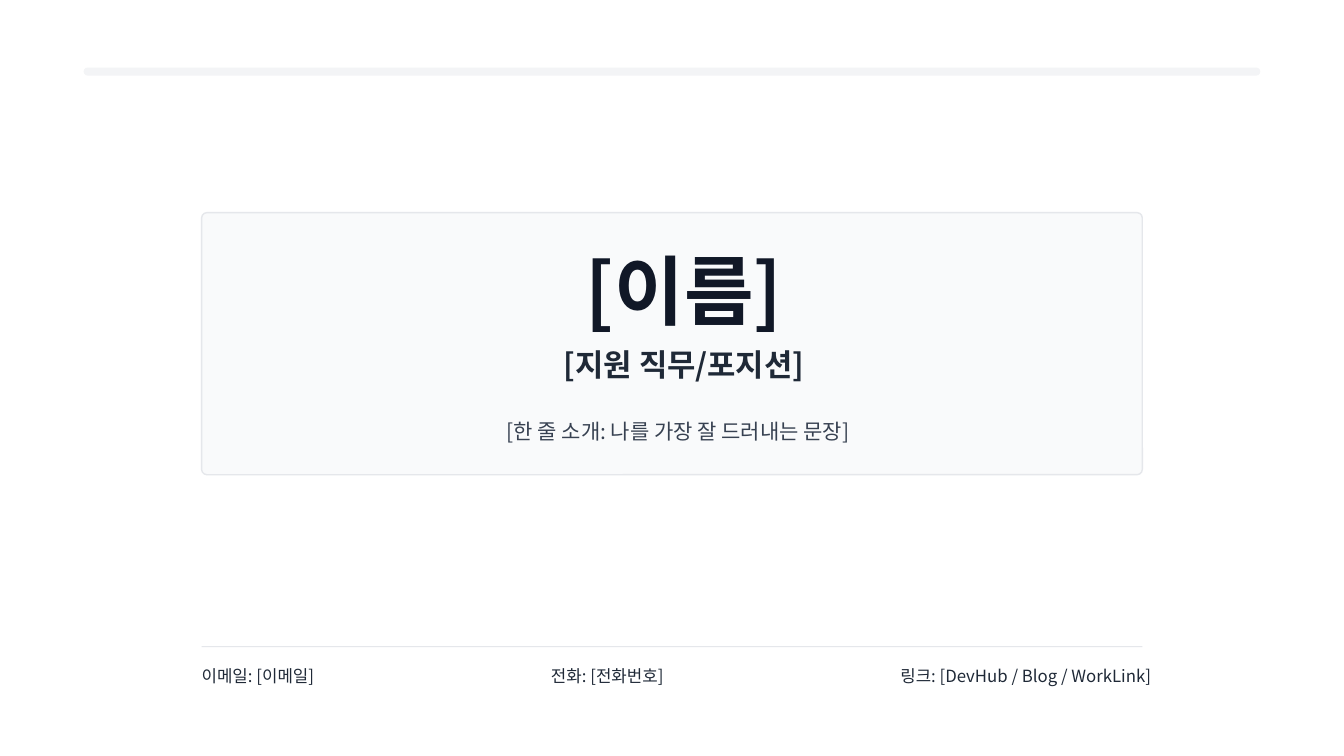
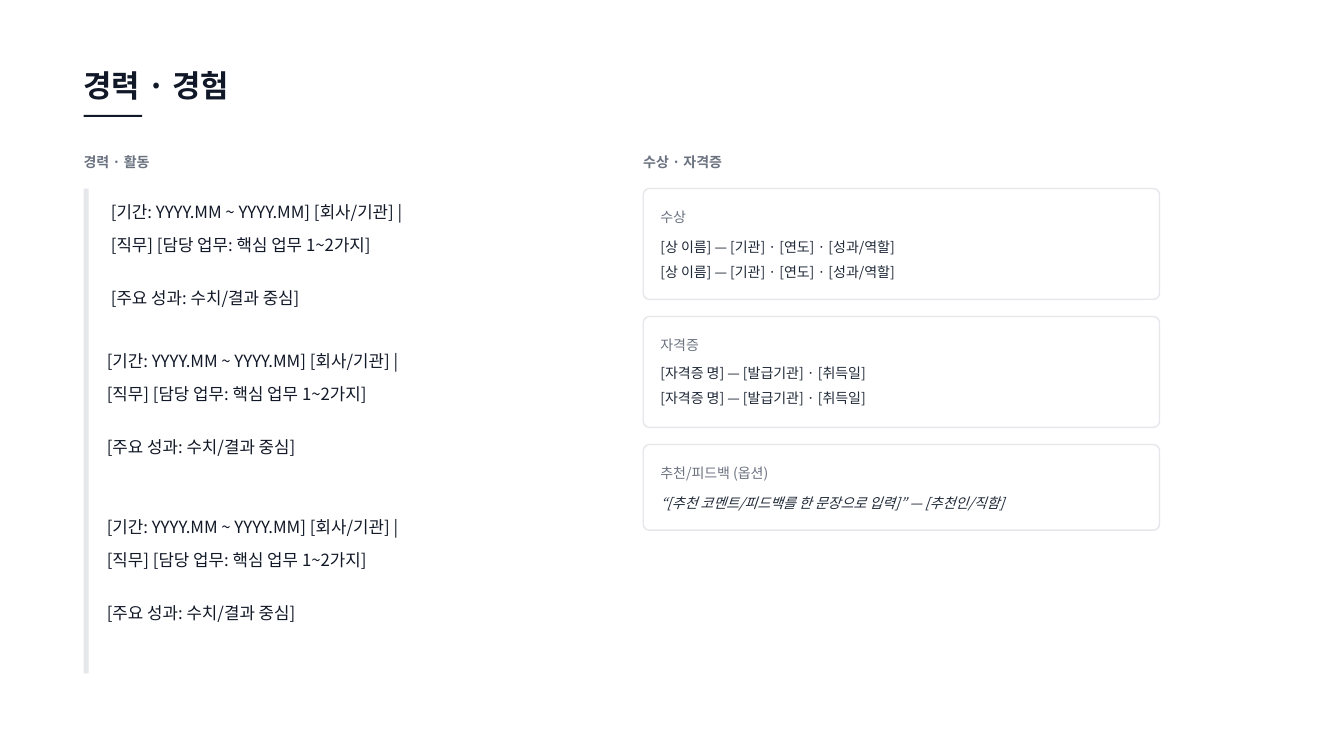
"""Build a résumé cover and a career slide."""
from lxml.etree import SubElement
from pptx import Presentation
from pptx.dml.color import RGBColor as RGB
from pptx.enum.shapes import MSO_SHAPE as Shape
from pptx.enum.text import MSO_ANCHOR as Anchor, PP_ALIGN as Align
from pptx.oxml.ns import qn
from pptx.util import Inches, Pt

FONT = "Noto Sans CJK KR"
HEX = {
    "ink": "111827", "dark": "1F2937", "body": "374151", "mute": "6B7280",
    "rule": "E5E7EB", "band": "F3F4F6", "panel": "F9FAFB", "white": "FFFFFF",
}
STYLE = {
    "name": {"size": 54, "color": "ink", "bold": True, "align": Align.CENTER},
    "role": {"size": 22, "color": "dark", "bold": True, "align": Align.CENTER},
    "intro": {"size": 15, "color": "body", "align": Align.CENTER},
    "contact": {"size": 12, "color": "dark"},
    "title": {"size": 22, "color": "ink", "bold": True},
    "head": {"size": 10, "color": "mute", "bold": True},
    "job": {"size": 12, "color": "ink"},
    "label": {"size": 10, "color": "mute"},
    "item": {"size": 10, "color": "dark"},
    "quote": {"size": 10, "color": "dark", "italic": True},
}

COVER = [
    ("[이름]", (4.84, 2.32, 3.89, 1.09), "name"),
    ("[지원 직무/포지션]", (3.9, 3.38, 5.77, 0.46), "role"),
    ("[한 줄 소개: 나를 가장 잘 드러내는 문장]", (1.94, 3.93, 9.57, 0.69), "intro"),
]
CONTACTS = ["이메일: [이메일]", "전화: [전화번호]", "링크: [DevHub / Blog / WorkLink]"]

TITLE = "경력 · 경험"
HEADS = [("경력 · 활동", 0.83), ("수상 · 자격증", 6.38)]
JOB = [
    ("[기간: YYYY.MM ~ YYYY.MM] [회사/기관] |", 0, 0.46),
    ("[직무] [담당 업무: 핵심 업무 1~2가지]", 0.36, 0.39),
    ("[주요 성과: 수치/결과 중심]", 0.74, 0.68),
]
JOBS = [(1.1, 1.87), (1.06, 3.35), (1.06, 5)]
CARDS = [
    ("수상", ["[상 이름] — [기관] · [연도] · [성과/역할]"] * 2, "item", 1.1, 0.47),
    ("자격증", ["[자격증 명] — [발급기관] · [취득일]"] * 2, "item", 1.1, 0.45),
    ("추천/피드백 (옵션)", ["“[추천 코멘트/피드백를 한 문장으로 입력]” — [추천인/직함]"],
     "quote", 0.85, 0.47),
]


def put_box(slide, at, fill, line=None, round=None):
    kind = Shape.RECTANGLE if round is None else Shape.ROUNDED_RECTANGLE
    box = slide.shapes.add_shape(kind, *map(Inches, at))
    box.shadow.inherit = False
    box.fill.solid()
    box.fill.fore_color.rgb = RGB.from_string(HEX[fill])
    if round is not None:
        box.adjustments[0] = round
    if line:
        box.line.color.rgb = RGB.from_string(HEX[line])
        box.line.width = Pt(1)
    else:
        box.line.fill.background()


def put_text(slide, text, at, style):
    look = dict(STYLE[style])
    frame = slide.shapes.add_textbox(*map(Inches, at)).text_frame
    frame.word_wrap = True
    frame.vertical_anchor = Anchor.MIDDLE
    for side in ("left", "top", "right", "bottom"):
        setattr(frame, f"margin_{side}", 0)
    para = frame.paragraphs[0]
    para.alignment = look.pop("align", Align.LEFT)
    run = para.add_run()
    run.text = text
    run.font.color.rgb = RGB.from_string(HEX[look.pop("color")])
    look["size"] = Pt(look["size"])
    for key, value in {"name": FONT, **look}.items():
        setattr(run.font, key, value)
    SubElement(run.font._element, qn("a:ea"), typeface=FONT)


def make_cover(slide):
    put_box(slide, (0.83, 0.67, 11.67, 0.08), "band", round=0.5)
    put_box(slide, (2, 2.11, 9.33, 2.6), "panel", "rule", 0.02)
    for text, at, style in COVER:
        put_text(slide, text, at, style)
    put_box(slide, (2, 6.41, 9.33, 0.01), "rule")
    for i, text in enumerate(CONTACTS):
        put_text(slide, text, (2 + i * 3.465, 6.58, 3.4, 0.25), "contact")


def make_career(slide):
    put_text(slide, TITLE, (0.83, 0.62, 4, 0.46), "title")
    put_box(slide, (0.83, 1.14, 0.58, 0.02), "ink")
    for text, left in HEADS:
        put_text(slide, text, (left, 1.5, 4, 0.21), "head")
    put_box(slide, (0.83, 1.87, 0.05, 4.81), "rule")
    for left, top in JOBS:
        for text, down, high in JOB:
            put_text(slide, text, (left, top + down, 4.93, high), "job")
    top = 1.87
    for label, lines, style, high, down in CARDS:
        put_box(slide, (6.38, top, 5.12, high), "white", "rule", 0.06 / high)
        put_text(slide, label, (6.55, top + 0.18, 4.7, 0.21), "label")
        for i, text in enumerate(lines):
            put_text(slide, text, (6.55, top + down + i * 0.25, 4.7, 0.21), style)
        top += high + 0.17


def main():
    deck = Presentation()
    deck.slide_width, deck.slide_height = Inches(13.33), Inches(7.5)
    for make in (make_cover, make_career):
        make(deck.slides.add_slide(deck.slide_layouts[6]))
    deck.save("out.pptx")


if __name__ == "__main__":
    main()
